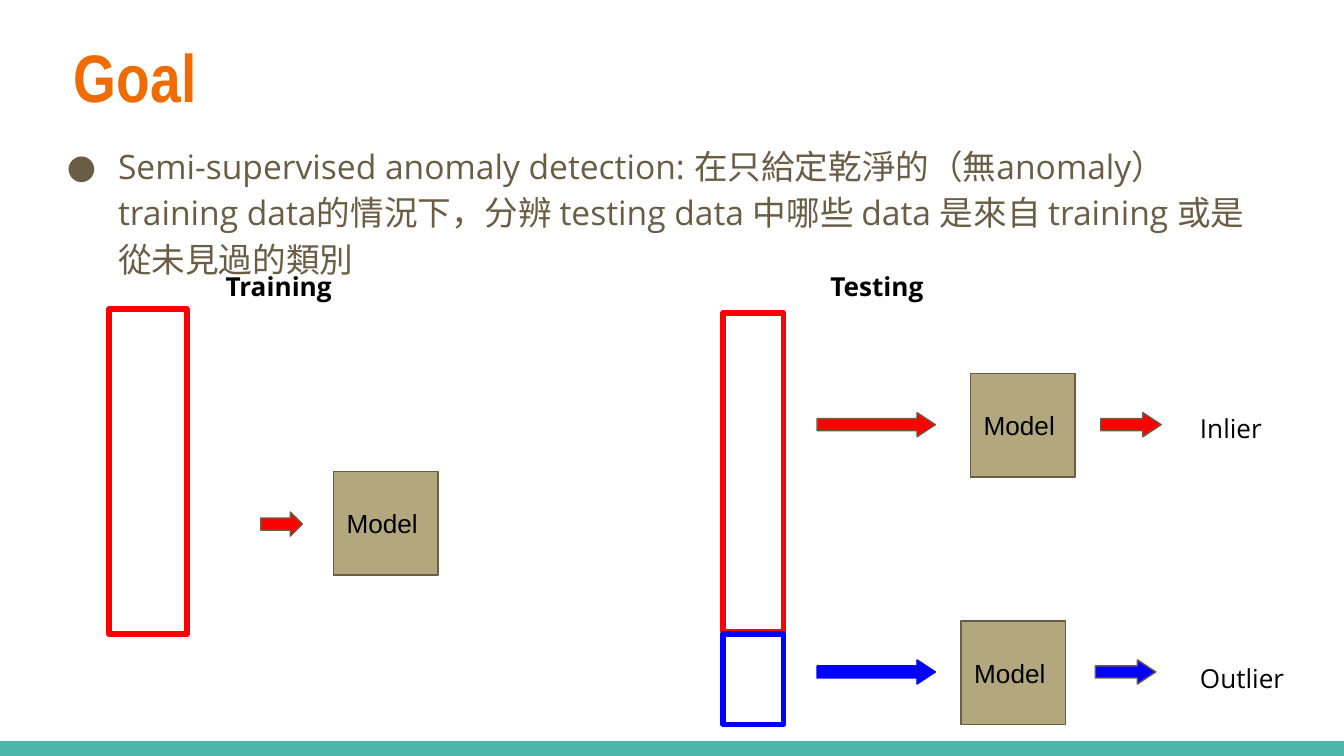
from dataclasses import dataclass

from pptx import Presentation
from pptx.dml.color import RGBColor as RGB
from pptx.enum.shapes import MSO_SHAPE as SHAPE
from pptx.enum.text import MSO_ANCHOR as ANCHOR, MSO_AUTO_SIZE as AUTO, PP_ALIGN as ALIGN
from pptx.oxml.ns import qn
from pptx.util import Inches, Pt


@dataclass(frozen=True)
class Theme:
    orange: str = "EF6C00"
    brown: str = "695D46"
    sand: str = "B3A77D"
    teal: str = "4DB6AC"
    red: str = "FF0000"
    blue: str = "0000FF"
    black: str = "000000"
    title_size: int = 36
    body_size: int = 18
    label_size: int = 14
    title_font: str = "Arial Narrow"
    body_font: str = "Open Sans"
    model_font: str = "Arial"


T = Theme()
SLIDE_W = 10
SLIDE_H = SLIDE_W * 9 / 16
BAR_H = 0.11
MODEL_W, MODEL_H = 0.78, 0.77
ARROW_H = 0.18


def place(sp, x, y, w, h):
    sp.left, sp.top, sp.width, sp.height = map(Inches, (x, y, w, h))


def write(sp, text, size, color, font, bold=False, anchor=ANCHOR.TOP):
    tf = sp.text_frame
    tf.text = text
    tf.word_wrap = True
    tf.auto_size = AUTO.NONE
    tf.vertical_anchor = anchor
    tf.margin_left = tf.margin_right = tf.margin_top = tf.margin_bottom = Inches(0.1)
    p = tf.paragraphs[0]
    p.alignment = ALIGN.LEFT
    f = p.runs[0].font
    f.size, f.name, f.bold = Pt(size), font, bold
    f.color.rgb = RGB.from_string(color)
    return p


def add_box(slide, kind, x, y, w, h, fill=None, line=None, width=0.75):
    sp = slide.shapes.add_shape(kind, *map(Inches, (x, y, w, h)))
    sp.shadow.inherit = False
    if fill:
        sp.fill.solid()
        sp.fill.fore_color.rgb = RGB.from_string(fill)
    else:
        sp.fill.background()
    if line:
        sp.line.color.rgb = RGB.from_string(line)
        sp.line.width = Pt(width)
        ln = sp.line._get_or_add_ln()
        ln.append(ln.makeelement(qn("a:round"), {}))
    else:
        sp.line.fill.background()
    return sp


def add_title(slide, text):
    sp = slide.shapes.title
    place(sp, 0.45, 0.16, 9.32, 0.77)
    write(sp, text, T.title_size, T.orange, T.title_font, bold=True)


def add_bullet(slide, text):
    sp = slide.shapes.add_textbox(*map(Inches, (0.28, 0.94, 9.32, 3.61)))
    p = write(sp, text, T.body_size, T.brown, T.body_font)
    p.line_spacing = 1.15
    pPr = p._p.get_or_add_pPr()
    pPr.set("marL", str(Inches(0.5)))
    pPr.set("indent", str(Inches(-0.38)))
    color = pPr.makeelement(qn("a:buClr"), {})
    color.append(color.makeelement(qn("a:srgbClr"), {"val": T.brown}))
    pPr.append(color)
    pPr.append(pPr.makeelement(qn("a:buFont"), {"typeface": T.body_font}))
    pPr.append(pPr.makeelement(qn("a:buChar"), {"char": "●"}))


def add_label(slide, text, x, y, w, bold=False):
    sp = slide.shapes.add_textbox(*map(Inches, (x, y, w, 0.34)))
    write(sp, text, T.label_size, T.black, T.body_font, bold)


def add_model(slide, x, y):
    sp = add_box(slide, SHAPE.RECTANGLE, x, y, MODEL_W, MODEL_H, T.sand, T.brown)
    write(sp, "Model", T.label_size, T.black, T.model_font, anchor=ANCHOR.MIDDLE)


def add_arrow(slide, x, y, w, color, line=T.brown, head=0.76):
    sp = add_box(slide, SHAPE.RIGHT_ARROW, x, y, w, ARROW_H, color, line)
    sp.adjustments[0], sp.adjustments[1] = 0.5, head


def add_data(slide, x, y, w, h, color):
    add_box(slide, SHAPE.RECTANGLE, x, y, w, h, line=color, width=3)


def add_training(slide):
    add_label(slide, "Training", 1.58, 1.91, 1.77, bold=True)
    add_model(slide, 2.48, 3.51)
    add_arrow(slide, 1.94, 3.81, 0.31, T.red, head=0.5)
    add_data(slide, 0.81, 2.3, 0.58, 2.42, T.red)


def add_testing(slide):
    add_label(slide, "Testing", 6.08, 1.91, 1.77, bold=True)
    rows = [
        ("Inlier", T.red, T.brown, 2.78, 7.22, 8.19, 2.97, 0.78),
        ("Outlier", T.blue, T.blue, 4.62, 7.15, 8.15, 4.83, 0.94),
    ]
    for text, color, line, top, model_x, arrow_x, label_y, label_w in rows:
        arrow_y = top + 0.29
        add_arrow(slide, 6.08, arrow_y, 0.88, color, line)
        add_model(slide, model_x, top)
        add_arrow(slide, arrow_x, arrow_y, 0.45, color)
        add_label(slide, text, 8.83, label_y, label_w)
    add_data(slide, 5.38, 2.33, 0.45, 2.37, T.red)
    add_data(slide, 5.38, 4.72, 0.45, 0.67, T.blue)


def main():
    prs = Presentation()
    prs.slide_width, prs.slide_height = Inches(SLIDE_W), Inches(SLIDE_H)
    slide = prs.slides.add_slide(prs.slide_layouts[5])
    add_box(slide, SHAPE.RECTANGLE, 0, SLIDE_H - BAR_H, SLIDE_W, BAR_H, T.teal)
    add_title(slide, "Goal")
    add_bullet(
        slide,
        "Semi-supervised anomaly detection: 在只給定乾淨的（無anomaly）training data的情況下，"
        "分辨 testing data 中哪些 data 是來自 training 或是從未見過的類別",
    )
    add_training(slide)
    add_testing(slide)
    prs.save("out.pptx")


if __name__ == "__main__":
    main()
